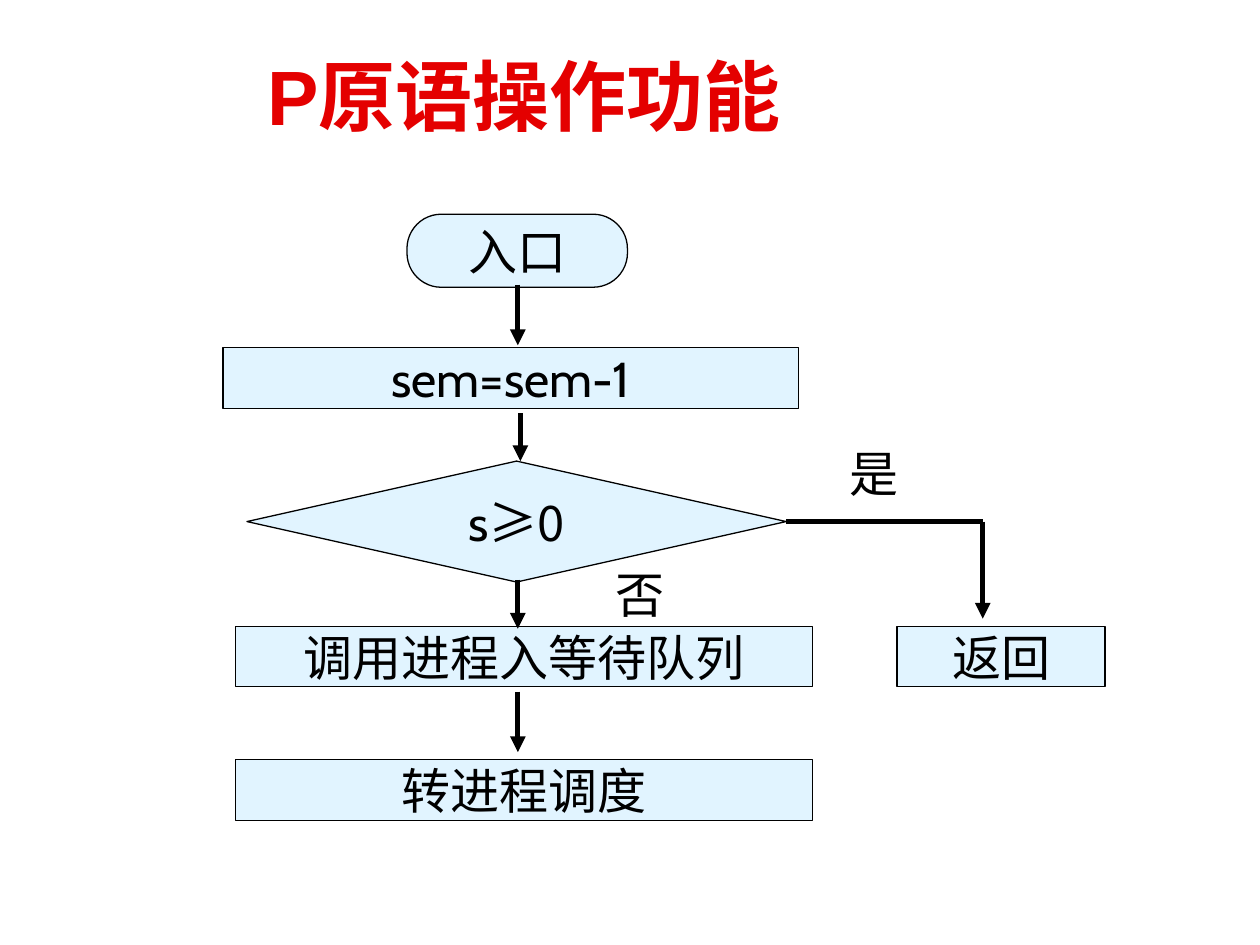
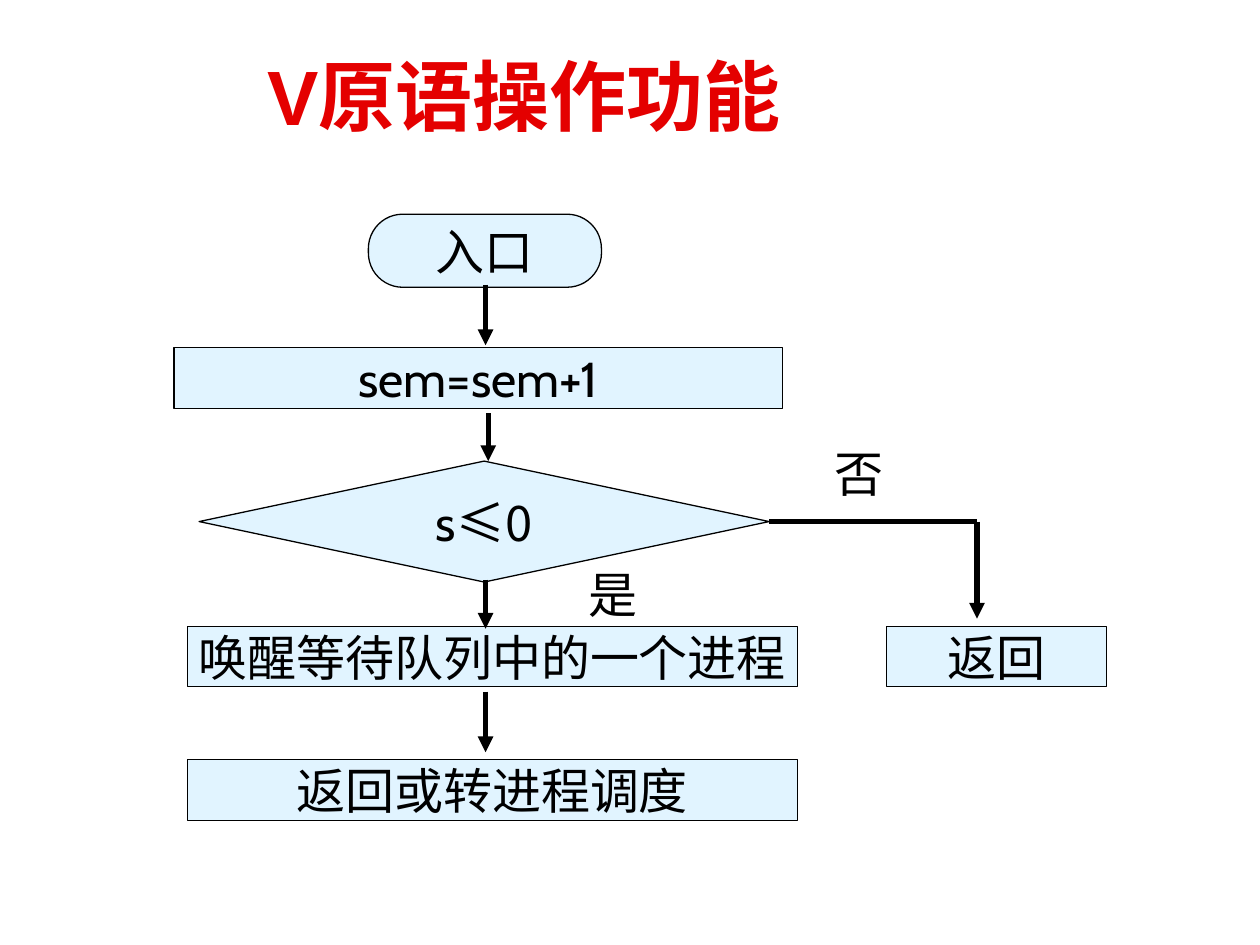
import pptx
import pptx.dml.color
import pptx.enum.shapes
import pptx.enum.text
import pptx.oxml.ns
import pptx.util
from collections import namedtuple
from dataclasses import dataclass
from lxml import etree

EMU_PER_PX = 9144  # 100 px to the inch
SHAPE = pptx.enum.shapes.MSO_SHAPE
ALIGN = pptx.enum.text.PP_ALIGN
ANCHOR = pptx.enum.text.MSO_ANCHOR
Box = namedtuple("Box", "left top width height")


@dataclass(frozen=True)
class Theme:
    title_red: str = "E40000"
    node_blue: str = "E1F4FF"
    ink: str = "000000"
    title_font: str = "Arial"
    body_font: str = "Cabin"
    east_asian_font: str = "Noto Sans CJK SC"
    title_size: int = 44
    body_size: int = 28
    outline: float = 0.75
    arrow: int = 3


THEME = Theme()
CHART_WIDTH = 700  # the width for which the flowchart is laid out
SPINE = 234        # x of the main flow inside the chart


def px(length):
    return pptx.util.Emu(round(length * EMU_PER_PX))


def rgb(code):
    return pptx.dml.color.RGBColor.from_string(code)


def sub(parent, tag, **attributes):
    return etree.SubElement(parent, pptx.oxml.ns.qn(tag), **attributes)


def write(shape, spans, size, color, name, align=ALIGN.LEFT, bold=False):
    """Fill the first paragraph with (text, font or None) spans."""
    para = shape.text_frame.paragraphs[0]
    para.alignment = align
    font = para.font
    font.size, font.bold, font.name = pptx.util.Pt(size), bold, name
    font.color.rgb = rgb(color)
    defaults = para._p.pPr.find(pptx.oxml.ns.qn("a:defRPr"))
    sub(defaults, "a:ea", typeface=THEME.east_asian_font)
    for text, span_font in spans:
        span = para.add_run()
        span.text = text
        if span_font:
            span.font.name = span_font


def add_title(page, box, text):
    title = page.shapes.add_textbox(*map(px, box))
    frame = title.text_frame
    frame.word_wrap = True
    frame.vertical_anchor = ANCHOR.MIDDLE
    frame.margin_left = px(27)
    write(title, [(text, None)], THEME.title_size, THEME.title_red,
          THEME.title_font, bold=True)


def add_node(group, kind, box, spans):
    node = group.shapes.add_shape(kind, *map(px, box))
    node.shadow.inherit = False
    node.fill.solid()
    node.fill.fore_color.rgb = rgb(THEME.node_blue)
    node.line.color.rgb = rgb(THEME.ink)
    node.line.width = pptx.util.Pt(THEME.outline)
    if kind == SHAPE.ROUNDED_RECTANGLE:
        node.adjustments[0] = 0.47
    node.text_frame.word_wrap = False
    node.text_frame.vertical_anchor = ANCHOR.MIDDLE
    write(node, spans, THEME.body_size, THEME.ink, THEME.body_font,
          ALIGN.CENTER)


def add_line(group, start, end, arrow=True):
    line = group.shapes.add_connector(
        pptx.enum.shapes.MSO_CONNECTOR.STRAIGHT, *map(px, start + end))
    line.line.color.rgb = rgb(THEME.ink)
    line.line.width = pptx.util.Pt(THEME.arrow)
    if arrow:
        sub(line.line._get_or_add_ln(), "a:tailEnd", type="triangle")
    sub(line._element.spPr, "a:effectLst")


def add_label(group, box, text):
    label = group.shapes.add_textbox(*map(px, box))
    label.text_frame.word_wrap = True
    write(label, [(text, None)], THEME.body_size, THEME.ink, THEME.body_font)


def add_flowchart(page, box, action, test, steps, side_answer, down_answer):
    """Draw the flow; widths stretch with the box, heights stay."""
    group = page.shapes.add_group_shape()
    stretch = box.width / CHART_WIDTH

    def place(left, top, width, height):
        return Box(box.left + left * stretch, box.top + top,
                   width * stretch, height)

    def point(x, y):
        return box.left + x * stretch, box.top + y

    # Nodes
    variable, condition = test
    nodes = [
        (SHAPE.ROUNDED_RECTANGLE, (146, 0, 175, 58), [("入口", None)]),
        (SHAPE.RECTANGLE, (0, 106, 457, 48), [(action, None)]),
        (SHAPE.DIAMOND, (19, 196, 428, 96),
         [(variable, None), (condition, THEME.east_asian_font)]),
        (SHAPE.RECTANGLE, (535, 327, 165, 48), [("返回", None)]),
    ]
    nodes += [(SHAPE.RECTANGLE, (10, 327 + 106 * row, 458, 48), [(step, None)])
              for row, step in enumerate(steps)]
    for kind, area, spans in nodes:
        add_node(group, kind, place(*area), spans)

    # Main flow
    for x, top, bottom in [(SPINE, 56, 104), (SPINE + 2, 158, 196),
                           (SPINE, 290, 329), (SPINE, 379, 427)]:
        add_line(group, point(x, top), point(x, bottom))

    # Side branch
    corner = point(603, 244)
    add_line(group, point(447, 244), corner, arrow=False)
    add_line(group, corner, point(603, 321))

    # Answers
    add_label(group, place(487, 177, 97, 57), side_answer)
    add_label(group, place(302, 273, 97, 57), down_answer)


PAGES = [
    ("P原语操作功能", Box(177, 170, 700, 481),
     dict(action="sem=sem-1", test=("s", "≥0"),
          steps=["调用进程入等待队列", "转进程调度"],
          side_answer="是", down_answer="否")),
    ("V原语操作功能", Box(138, 170, 740, 481),
     dict(action="sem=sem+1", test=("s", "≤0"),
          steps=["唤醒等待队列中的一个进程", "返回或转进程调度"],
          side_answer="否", down_answer="是")),
]


def main():
    deck = pptx.Presentation()
    deck.slide_width, deck.slide_height = px(1000), px(750)
    for title, chart_box, flow in PAGES:
        page = deck.slides.add_slide(deck.slide_layouts[6])
        add_title(page, Box(185, 28, 789, 95), title)
        add_flowchart(page, chart_box, **flow)
    deck.save("out.pptx")


if __name__ == "__main__":
    main()
